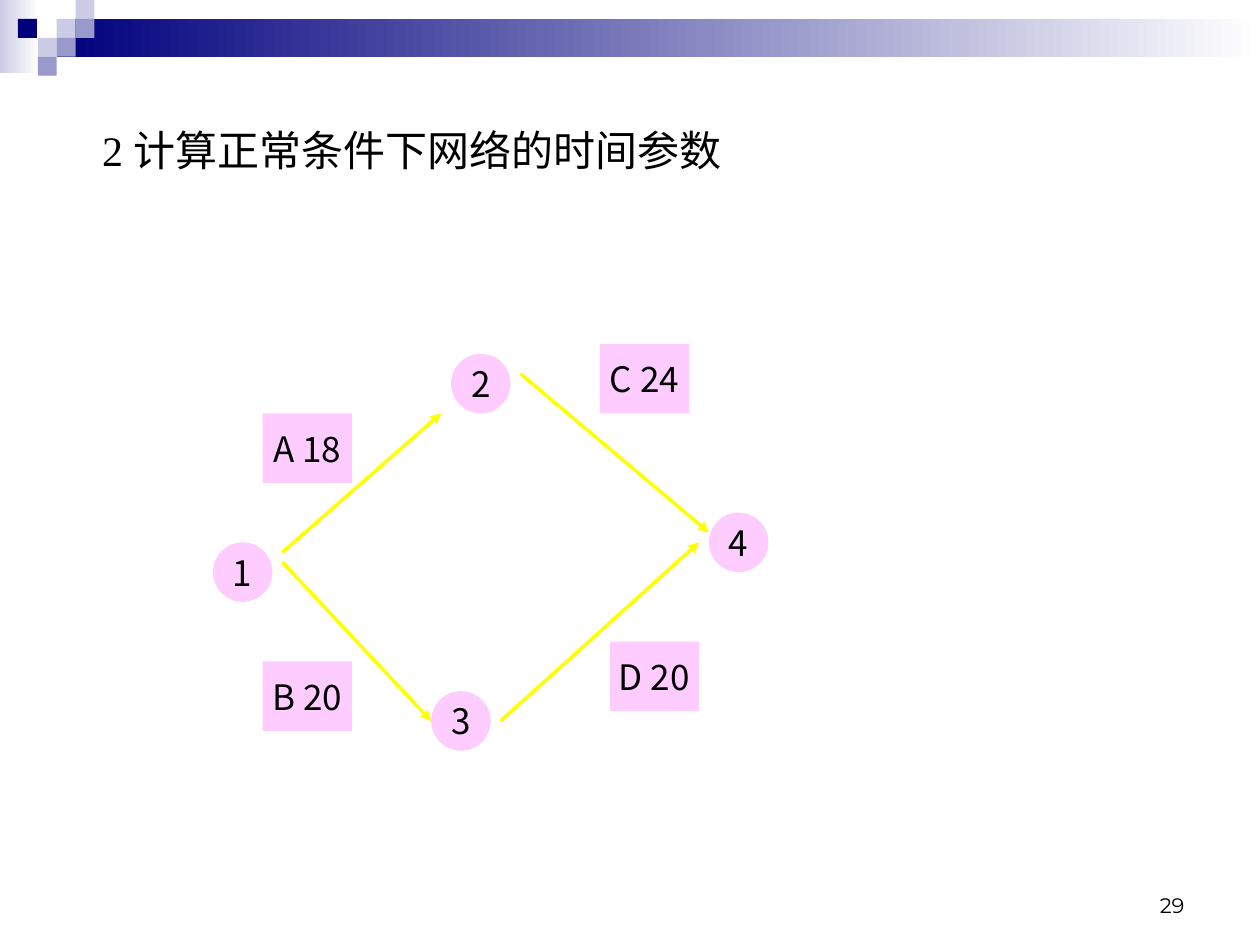
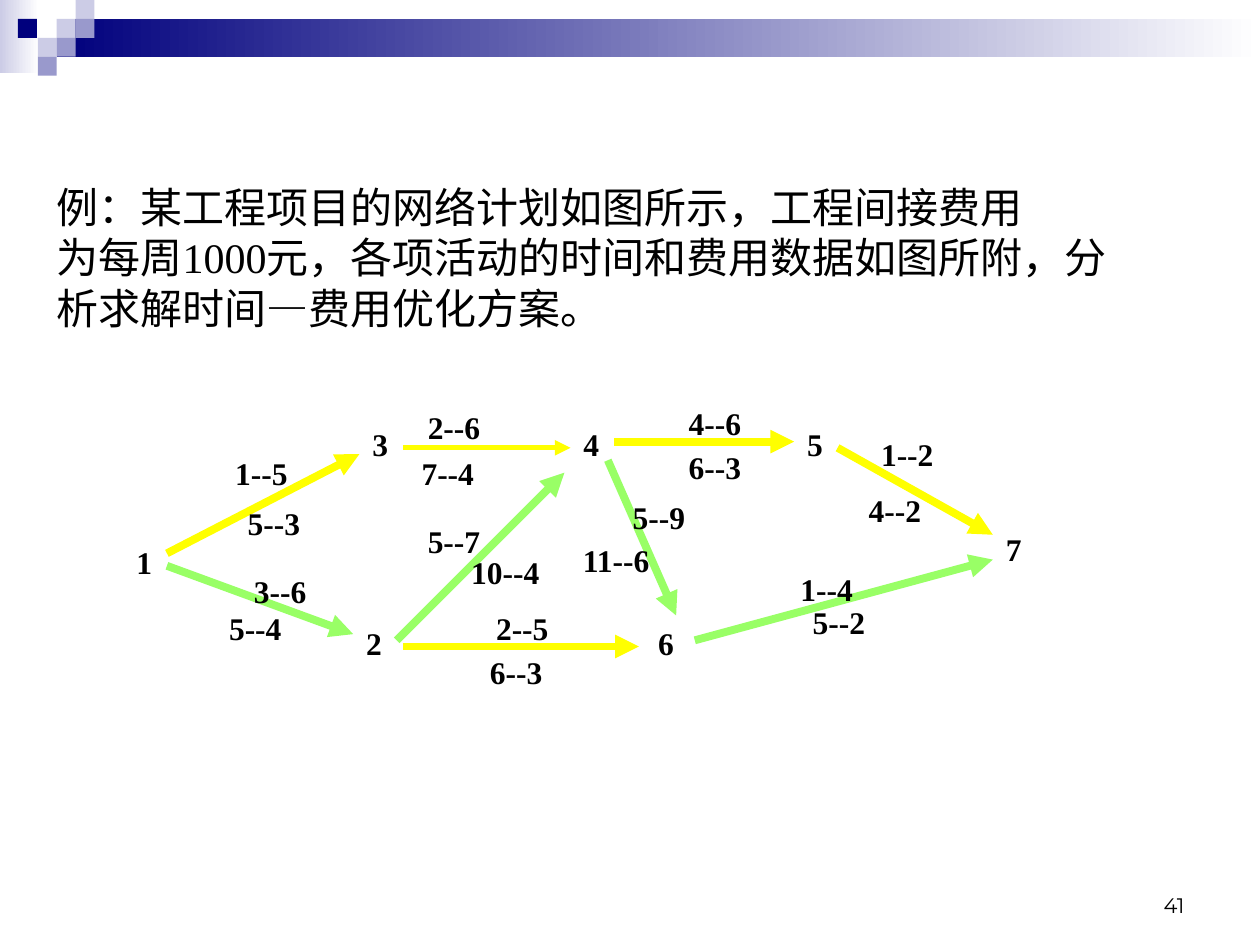
from lxml.etree import SubElement
from pptx import Presentation
from pptx.dml.color import RGBColor
from pptx.enum.shapes import MSO_CONNECTOR, MSO_SHAPE
from pptx.enum.text import MSO_ANCHOR as Anchor, MSO_AUTO_SIZE, PP_ALIGN as Align
from pptx.oxml.ns import qn
from pptx.util import Inches, Pt

SERIF, SANS, NUMBER_FONT = "Times New Roman", "Noto Sans CJK SC", "Montserrat"
BLACK, WHITE, PINK = "000000", "FFFFFF", "FFCCFF"
NAVY, LILAC, PALE = "00007D", "9999CC", "CCCCE6"
YELLOW, GREEN = "FFFF00", "99FF66"


def color(hex_string):
    return RGBColor.from_string(hex_string)


def write(box, text, font, size, bold=False, align=Align.LEFT, anchor=Anchor.TOP, wrap=False):
    frame = box.text_frame
    frame.text = text
    frame.word_wrap = wrap
    frame.auto_size = MSO_AUTO_SIZE.NONE
    frame.vertical_anchor = anchor
    frame.margin_left = frame.margin_right = Inches(0.1)
    frame.margin_top = Inches(0.05)
    frame.margin_bottom = 0 if anchor == Anchor.TOP else Inches(0.05)
    for para in frame.paragraphs:
        para.alignment = align
        for span in para.runs:
            span.font.name = font
            span.font.size = Pt(size)
            span.font.bold = bold
            span.font.color.rgb = color(BLACK)


# Grid positions are (column, row), counted from the origin of each network.
networks = [
    {
        "number": "29",
        "title": "2 计算正常条件下网络的时间参数",
        "title_at": (0.71, 0.94, 8.7, 0.45),
        "origin": (1.69, 2.73), "unit": 10 / 127,
        "font": SANS, "size": 20, "bold": False, "filled": True,
        "node_side": 6,
        "nodes": {"1": (0, 20), "2": (24, 1), "3": (22, 35), "4": (50, 17)},
        "arrows": [
            ((7, 21), (23, 7), YELLOW, 2),
            ((7, 22), (22, 38), YELLOW, 2),
            ((29, 38), (49, 20), YELLOW, 2),
            ((31, 3), (50, 19), YELLOW, 2),
        ],
        "label_size": (9, 7),
        "labels": [("A 18", 5, 7), ("B 20", 5, 32), ("C 24", 39, 0), ("D 20", 40, 30)],
    },
    {
        "number": "41",
        "title": "例：某工程项目的网络计划如图所示，工程间接费用\n"
                 "为每周1000元，各项活动的时间和费用数据如图所附，分\n"
                 "析求解时间—费用优化方案。",
        "title_at": (0.35, 1.39, 9.2, 1.25),
        "origin": (0.98, 3.16), "unit": 6.9 / 140,
        "font": SERIF, "size": 18, "bold": True, "filled": False,
        "node_side": 6.7,
        "nodes": {"1": (0, 23), "2": (37, 36), "3": (38, 4), "4": (72, 4),
                  "5": (108, 4), "6": (84, 36), "7": (140, 21)},
        "arrows": [
            ((7, 25), (38, 9), YELLOW, 4.5),
            ((7, 27), (37, 38), GREEN, 4.5),
            ((45, 8), (72, 8), YELLOW, 3),
            ((44, 39), (71, 12), GREEN, 4.5),
            ((45, 40), (83, 40), YELLOW, 4.5),
            ((78, 10), (89, 35), GREEN, 4.5),
            ((79, 7), (108, 7), YELLOW, 4.5),
            ((92, 39), (140, 26), GREEN, 4.5),
            ((115, 8), (140, 22), YELLOW, 4.5),
        ],
        "label_size": (12.6, 7.1),
        "labels": [
            ("1--5", 16, 8), ("5--3", 18, 16), ("2--6", 47, 0.6), ("7--4", 46, 8),
            ("4--6", 89, 0), ("6--3", 89, 7), ("5--7", 47, 19), ("10--4", 54, 24),
            ("3--6", 19, 27), ("5--4", 15, 33), ("2--5", 58, 33), ("6--3", 57, 40),
            ("5--9", 80, 15), ("11--6", 72, 22), ("1--4", 107, 26.6), ("5--2", 109, 32),
            ("1--2", 120, 5), ("4--2", 118, 14),
        ],
    },
]

deck = Presentation()
deck.slide_width, deck.slide_height = Inches(10), Inches(7.5)
title_only = deck.slide_layouts[5]
pages = [deck.slides.add_slide(title_only) for network in networks]

# The header band is drawn once and moved to the master, behind every page.
TILE = 0.15
header = [(0, 0, 0.31, 0.58, PALE, True), (3 * TILE, TILE, 9.55, 2 * TILE, NAVY, True)]
tiles = [(3, 1, PALE), (4, 0, PALE), (4, 1, LILAC), (2, 2, PALE),
         (0.95, 1, NAVY), (3, 2, LILAC), (2, 3, LILAC)]
header += [(column * TILE, row * TILE, TILE, TILE, fill, False) for column, row, fill in tiles]
for index, (left, top, width, height, fill, fades) in enumerate(header):
    block = pages[0].shapes.add_shape(
        MSO_SHAPE.RECTANGLE, Inches(left), Inches(top), Inches(width), Inches(height))
    block.shadow.inherit = False
    block.line.fill.background()
    if fades:
        block.fill.gradient()
        block.fill.gradient_angle = 0
        for stop, stop_color in zip(block.fill.gradient_stops, (fill, WHITE)):
            stop.color.rgb = color(stop_color)
    else:
        block.fill.solid()
        block.fill.fore_color.rgb = color(fill)
    block.element.nvSpPr.cNvPr.set("id", str(100 + index))
    deck.slide_master.shapes.element.append(block.element)

for page, network in zip(pages, networks):
    shapes = page.shapes
    unit = Inches(network["unit"])
    origin_x, origin_y = (Inches(value) for value in network["origin"])
    style = network["font"], network["size"], network["bold"]

    title = shapes.title
    title.left, title.top, title.width, title.height = map(Inches, network["title_at"])
    write(title, network["title"], SERIF, 24, wrap=True)

    number = shapes.add_textbox(Inches(7.17), Inches(6.83), Inches(2.33), Inches(0.5))
    write(number, network["number"], NUMBER_FONT, 12,
          align=Align.RIGHT, anchor=Anchor.BOTTOM, wrap=True)

    side = int(network["node_side"] * unit)
    for name, (column, row) in network["nodes"].items():
        node = shapes.add_shape(
            MSO_SHAPE.OVAL, origin_x + column * unit, origin_y + row * unit, side, side)
        node.shadow.inherit = False
        if network["filled"]:
            node.fill.solid()
            node.fill.fore_color.rgb = color(PINK)
            node.line.fill.background()
        else:
            node.fill.background()
            node.line.color.rgb = color(WHITE)
            node.line.width = Pt(0.75)
        write(node, name, *style, align=Align.CENTER, anchor=Anchor.MIDDLE)

    for (from_column, from_row), (to_column, to_row), stroke, weight in network["arrows"]:
        arrow = shapes.add_connector(
            MSO_CONNECTOR.STRAIGHT,
            origin_x + from_column * unit, origin_y + from_row * unit,
            origin_x + to_column * unit, origin_y + to_row * unit)
        arrow.line.color.rgb = color(stroke)
        arrow.line.width = Pt(weight)
        SubElement(arrow.line._get_or_add_ln(), qn("a:tailEnd"), type="triangle")
        SubElement(arrow.element.spPr, qn("a:effectLst"))

    label_width, label_height = (int(cells * unit) for cells in network["label_size"])
    for text, column, row in network["labels"]:
        left, top = int(origin_x + column * unit), int(origin_y + row * unit)
        if network["filled"]:
            label = shapes.add_shape(MSO_SHAPE.RECTANGLE, left, top, label_width, label_height)
            label.shadow.inherit = False
            label.fill.solid()
            label.fill.fore_color.rgb = color(PINK)
            label.line.fill.background()
            write(label, text, *style, align=Align.CENTER, anchor=Anchor.MIDDLE)
        else:
            width = label_width * 6 // 5 if len(text) > 4 else label_width
            label = shapes.add_textbox(left, top, width, label_height)
            write(label, text, *style)

deck.save("out.pptx")
